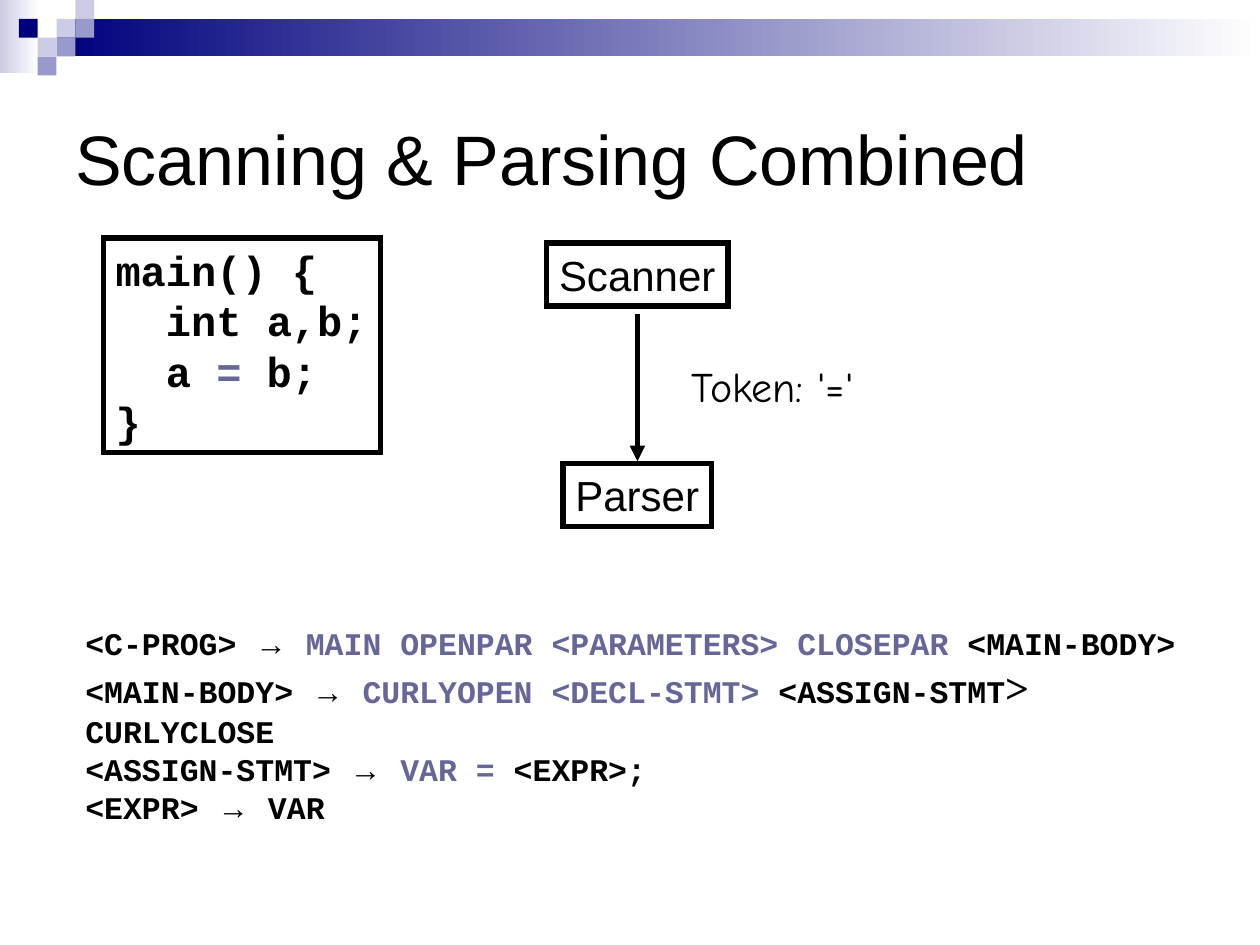
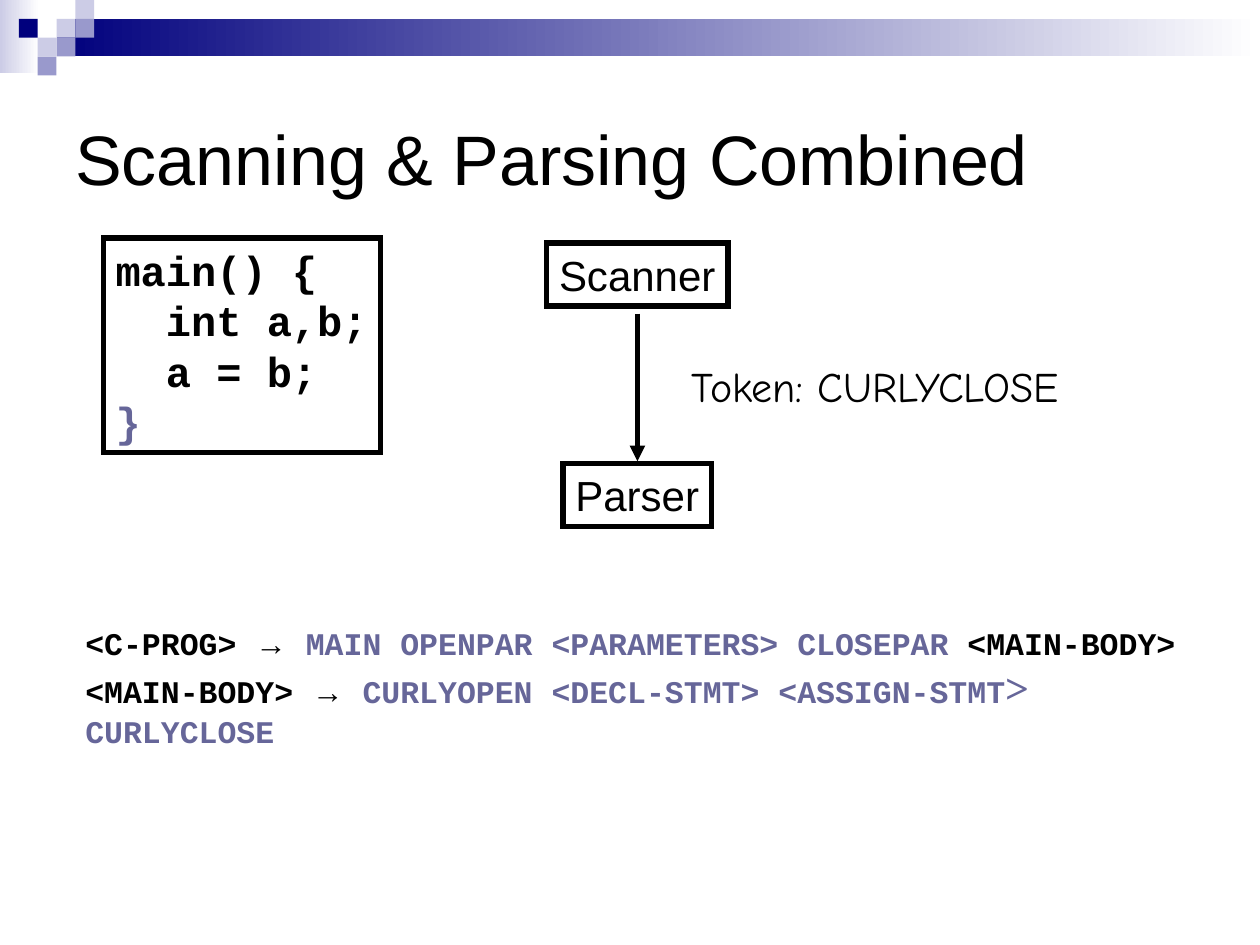
from pptx import Presentation
from pptx.dml.color import RGBColor
from pptx.enum.shapes import MSO_CONNECTOR as Connector, MSO_SHAPE as Preset
from pptx.enum.text import MSO_ANCHOR as Anchor, MSO_AUTO_SIZE as AutoSize
from pptx.oxml import parse_xml
from pptx.oxml.ns import nsdecls
from pptx.util import Cm, Pt

BLACK, SEEN = "000000", "666699"
NAVY, MIDDLE, PALE, WHITE = "00007D", "9999CC", "CCCCE6", "FFFFFF"
CELL = 0.38
SQUARES = [(3, 1, PALE), (4, 0, PALE), (4, 1, MIDDLE), (2, 2, PALE),
           (1, 1, NAVY), (3, 2, MIDDLE), (2, 3, MIDDLE)]


def color(value):
    """Turn a hex string into a colour."""
    return RGBColor.from_string(value)


def label(text, size=24, font="Arial"):
    """Describe one plain run of text."""
    return text, font, size, BLACK, False


def code(text, size=24, tint=BLACK):
    """Describe one run of bold code."""
    return text, "Courier New", size, tint, True


def symbol(text):
    """Describe one run of grammar text still to be matched."""
    return code(text, 18)


def seen(text):
    """Describe one run of grammar text already matched."""
    return code(text, 18, SEEN)


def bracket(tint):
    """Describe the larger closing bracket of the body rule."""
    return "> ", "Times New Roman", 24, tint, True


def rule_start(name):
    """Describe the left side of a grammar rule and its arrow."""
    return [symbol(f"{name} "), ("→", "Arial", 18, BLACK, True), symbol(" ")]


class Deck:
    """Hold the presentation, its style and the current slide."""

    def __init__(self):
        """Start an empty presentation."""
        self.presentation = Presentation()
        self.presentation.slide_width = Cm(25.4)
        self.presentation.slide_height = Cm(19.05)
        self.slide = None

    def add_slide(self, title):
        """Add a slide with the header band and its title."""
        self.slide = self.presentation.slides.add_slide(self.presentation.slide_layouts[6])
        self.rectangle((0, 0, 0.79, 1.47), [PALE, WHITE])
        self.rectangle((3 * CELL, CELL, 24.26, 2 * CELL), [NAVY, WHITE])
        for column, row, tint in SQUARES:
            self.rectangle((column * CELL, row * CELL, CELL, CELL), [tint])
        self.text((1.27, 1.27, 22.86, 3.81), [[label(title, 40)]], Anchor.MIDDLE)

    def rectangle(self, place, tints):
        """Add a borderless rectangle, plain or fading between two tints."""
        shape = self.slide.shapes.add_shape(Preset.RECTANGLE, *map(Cm, place))
        shape.shadow.inherit = False
        shape.line.fill.background()
        if len(tints) == 1:
            shape.fill.solid()
            shape.fill.fore_color.rgb = color(tints[0])
            return
        shape.fill.gradient()
        shape.fill.gradient_angle = 0
        for stop, tint in zip(shape.fill.gradient_stops, tints):
            stop.color.rgb = color(tint)

    def text(self, place, lines, anchor=Anchor.TOP, wrap=False):
        """Add a text box from lines of runs."""
        shape = self.slide.shapes.add_textbox(*map(Cm, place))
        frame = shape.text_frame
        frame.word_wrap = wrap
        frame.auto_size = AutoSize.NONE
        frame.vertical_anchor = anchor
        for index, runs in enumerate(lines):
            paragraph = frame.paragraphs[0] if index == 0 else frame.add_paragraph()
            for text, font, size, tint, bold in runs:
                run = paragraph.add_run()
                run.text = text
                run.font.name = font
                run.font.size = Pt(size)
                run.font.bold = bold
                run.font.color.rgb = color(tint)
        return shape

    def outline(self, shape, ending):
        """Draw a thick black line closed by one more line property."""
        shape.line.color.rgb = color(BLACK)
        shape.line.width = Pt(3)
        properties = shape.line._get_or_add_ln()
        properties.append(parse_xml(f'<a:{ending} {nsdecls("a")}/>'.replace("/>", "/>")))
        return properties

    def framed(self, place, lines):
        """Add text inside a thick black frame with sharp corners."""
        shape = self.text(place, lines)
        self.outline(shape, "miter").getchildren()[-1].set("lim", "800000")

    def arrow(self, x, top, bottom):
        """Add a downward arrow."""
        connector = self.slide.shapes.add_connector(
            Connector.STRAIGHT, Cm(x), Cm(top), Cm(x), Cm(bottom))
        properties = self.outline(connector, "tailEnd")
        properties.getchildren()[-1].set("type", "triangle")
        properties.addnext(parse_xml(f'<a:effectLst {nsdecls("a")}/>'))

    def parsing_step(self, program, token, token_width, rules):
        """Add one step: program, scanner, token, parser and grammar rules."""
        self.add_slide("Scanning & Parsing Combined")
        self.framed((2.08, 4.8, 5.59, 4.32), program)
        self.framed((11.35, 9.35, 3, 1.27), [[label("Parser")]])
        self.framed((11.02, 4.9, 3.66, 1.27), [[label("Scanner")]])
        self.arrow(12.85, 6.32, 9.3)
        self.text((13.7, 7.14, token_width, 1.27),
                  [[label(f"Token: {token}", font="Comic Neue")]])
        self.text((1.47, 12.45, 23.4, 4.32), rules, wrap=True)


def main():
    """Build both parsing steps and save them."""
    deck = Deck()
    opening = [[code("main() {")], [code("  int a,b;")]]
    program_rule = rule_start("<C-PROG>") + [
        seen("MAIN OPENPAR <PARAMETERS> CLOSEPAR "), symbol("<MAIN-BODY>")]
    body_start = rule_start("<MAIN-BODY>") + [seen("CURLYOPEN <DECL-STMT>")]

    deck.parsing_step(
        opening + [[code("  a "), code("=", tint=SEEN), code(" b;")], [code("}")]],
        "'='", 3.86,
        [program_rule,
         body_start + [symbol(" <ASSIGN-STMT"), bracket(BLACK), symbol("CURLYCLOSE")],
         rule_start("<ASSIGN-STMT>") + [seen("VAR ="), symbol(" <EXPR>;")],
         rule_start("<EXPR>") + [symbol("VAR")]])

    deck.parsing_step(
        opening + [[code("  a = b;")], [code("}", tint=SEEN)]],
        "CURLYCLOSE", 8.13,
        [program_rule,
         body_start + [seen(" <ASSIGN-STMT"), bracket(SEEN), seen("CURLYCLOSE")]])

    deck.presentation.save("out.pptx")


if __name__ == "__main__":
    main()
